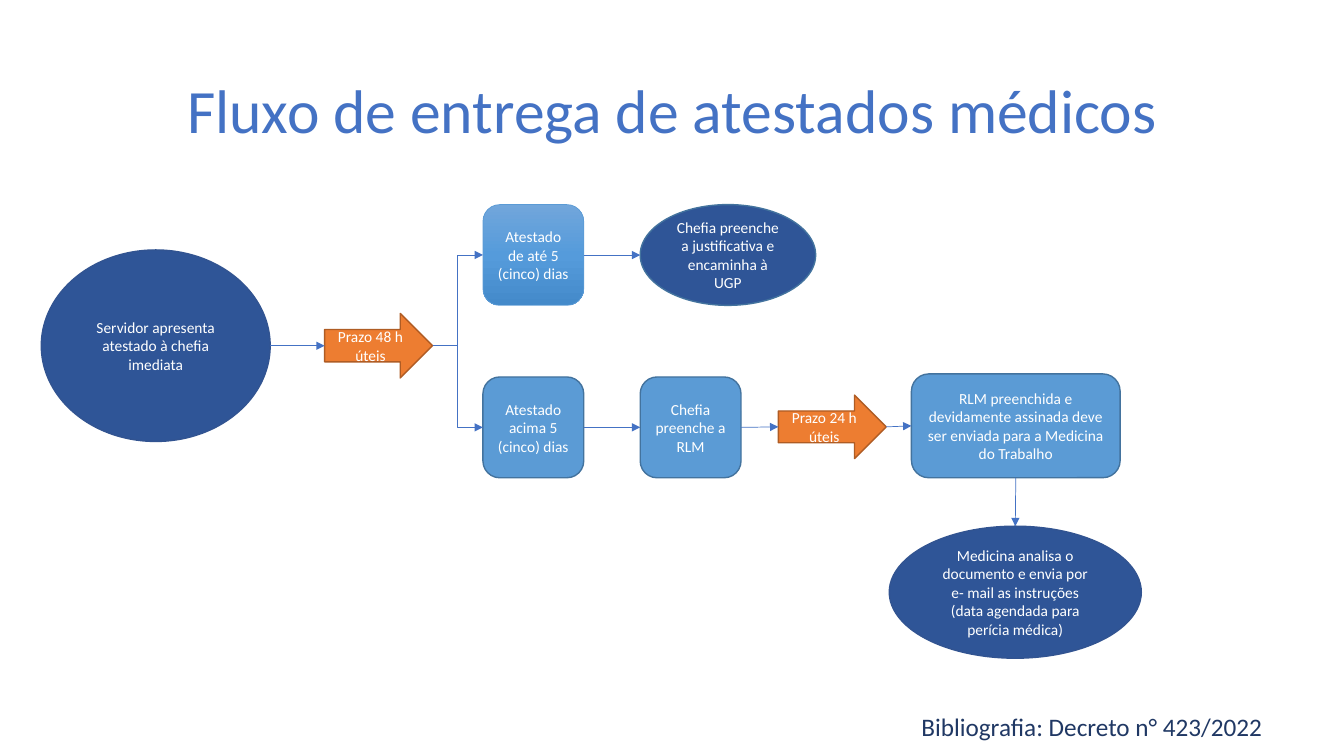
from collections import namedtuple
from copy import deepcopy

from lxml import etree
from pptx import Presentation, util as u
from pptx.dml import color
from pptx.enum import shapes, text
from pptx.oxml import ns

Theme = namedtuple("Theme", "font title_size body_size note_size white title note navy navy_edge "
                            "blue blue_edge orange orange_edge wire gradient")
theme = Theme(
    font="Calibri", title_size=44, body_size=11, note_size=18,
    white="FFFFFF", title="4472C4", note="203864",
    navy="2F5597", navy_edge="325491", blue="5B9BD5", blue_edge="43739E",
    orange="ED7D31", orange_edge="AF5C24", wire="4472C4",
    gradient=((0, "71A6DB"), (0.5, "559BDB"), (1, "448ACA")),
)
rgb = color.RGBColor.from_string


def write(shape, words, size, ink, align):
    frame = shape.text_frame
    frame.text = words
    frame.vertical_anchor = text.MSO_ANCHOR.MIDDLE
    para = frame.paragraphs[0]
    para.alignment = align
    font = para.runs[0].font
    font.name, font.size = theme.font, u.Pt(size)
    font.color.rgb = rgb(ink)
    return para


def anchor(shape, side):
    """Return the x and y of the middle of one side."""
    across, down = {"top": (0.5, 0), "left": (0, 0.5),
                    "bottom": (0.5, 1), "right": (1, 0.5)}[side]
    return int(shape.left + across * shape.width), int(shape.top + down * shape.height)


deck = Presentation()
deck.slide_width, deck.slide_height = u.Inches(13.33), u.Inches(7.5)
page = deck.slides.add_slide(deck.slide_layouts[5])

# Title
title = page.shapes.title
title.left, title.top = u.Inches(0.92), u.Inches(0.4)
title.width, title.height = u.Inches(11.5), u.Inches(1.45)
para = write(title, "Fluxo de entrega de atestados médicos",
             theme.title_size, theme.title, text.PP_ALIGN.CENTER)
para.line_spacing = 0.9

# Steps of the flow
OVAL = shapes.MSO_SHAPE.OVAL
ARROW = shapes.MSO_SHAPE.RIGHT_ARROW
ROUND = shapes.MSO_SHAPE.ROUNDED_RECTANGLE
navy = theme.navy, theme.navy_edge
blue = theme.blue, theme.blue_edge
orange = theme.orange, theme.orange_edge
steps = {
    "start": (OVAL, 0.41, 2.48, 2.27, 1.9, navy, "Servidor apresenta atestado à chefia imediata"),
    "48h": (ARROW, 3.22, 3.11, 1.07, 0.64, orange, "Prazo 48 h úteis"),
    "short": (ROUND, 4.79, 2.03, 1, 1, (theme.blue, theme.blue), "Atestado de até 5 (cinco) dias"),
    "long": (ROUND, 4.79, 3.74, 1, 1, blue, "Atestado acima 5 (cinco) dias"),
    "justify": (OVAL, 6.35, 2.03, 1.74, 1, (theme.navy, theme.blue_edge),
                "Chefia preenche a justificativa e encaminha à UGP"),
    "form": (ROUND, 6.35, 3.74, 1, 1, blue, "Chefia preenche a RLM"),
    "24h": (ARROW, 7.72, 3.92, 1.07, 0.63, orange, "Prazo 24 h úteis"),
    "send": (ROUND, 9.04, 3.71, 2.07, 1.03, blue,
             "RLM preenchida e devidamente assinada deve ser enviada para a Medicina do Trabalho"),
    "review": (OVAL, 8.82, 5.22, 2.5, 1.31, navy,
               "Medicina analisa o documento e envia por e- mail as instruções "
               "(data agendada para perícia médica)"),
}
boxes = {}
for name, (kind, left, top, width, height, (fill, edge), words) in steps.items():
    box = page.shapes.add_shape(kind, *map(u.Inches, (left, top, width, height)))
    box.shadow.inherit = False
    box.fill.solid()
    box.fill.fore_color.rgb = rgb(fill)
    box.line.color.rgb = rgb(edge)
    box.line.width = u.Pt(1)
    write(box, words, theme.body_size, theme.white, text.PP_ALIGN.CENTER)
    boxes[name] = box

# Gradient on the short-leave step
short = boxes["short"]
short.line.width = u.Pt(0.5)
short.fill.gradient()
short.fill.gradient_angle = 270
stop_list = short.fill._fill._gradFill.find(ns.qn("a:gsLst"))
stop_list.insert(1, deepcopy(stop_list[0]))
for stop, (position, tint) in zip(short.fill.gradient_stops, theme.gradient):
    stop.position = position
    stop.color.rgb = rgb(tint)

# Connectors, glued to the steps at both ends
STRAIGHT, ELBOW = shapes.MSO_CONNECTOR.STRAIGHT, shapes.MSO_CONNECTOR.ELBOW
four_sites = {"top": 0, "left": 1, "bottom": 2, "right": 3}
oval_sites = {"top": 0, "left": 2, "bottom": 4, "right": 6}
links = [
    ("start", "right", "48h", "left", STRAIGHT),
    ("48h", "right", "short", "left", ELBOW),
    ("48h", "right", "long", "left", ELBOW),
    ("short", "right", "justify", "left", STRAIGHT),
    ("long", "right", "form", "left", STRAIGHT),
    ("form", "right", "24h", "left", STRAIGHT),
    ("24h", "right", "send", "left", STRAIGHT),
    ("send", "bottom", "review", "top", STRAIGHT),
]
for source, exit_side, target, entry_side, kind in links:
    ends = (boxes[source], exit_side), (boxes[target], entry_side)
    wire = page.shapes.add_connector(kind, *anchor(*ends[0]), *anchor(*ends[1]))
    wire.line.color.rgb = rgb(theme.wire)
    wire.line.width = u.Pt(0.5)
    etree.SubElement(wire.line._get_or_add_ln(), ns.qn("a:tailEnd"), type="triangle")
    etree.SubElement(wire._element.spPr, ns.qn("a:effectLst"))
    glue = wire._element.nvCxnSpPr.cNvCxnSpPr
    for tag, (box, side) in zip(("a:stCxn", "a:endCxn"), ends):
        sites = oval_sites if box.auto_shape_type == OVAL else four_sites
        etree.SubElement(glue, ns.qn(tag), id=str(box.shape_id), idx=str(sites[side]))

# Source note
note = page.shapes.add_textbox(*map(u.Inches, (9.04, 7.01, 3.62, 0.4)))
write(note, "Bibliografia: Decreto n° 423/2022",
      theme.note_size, theme.note, text.PP_ALIGN.LEFT)
note.text_frame.word_wrap = False
note.text_frame.auto_size = text.MSO_AUTO_SIZE.SHAPE_TO_FIT_TEXT

deck.save("out.pptx")
